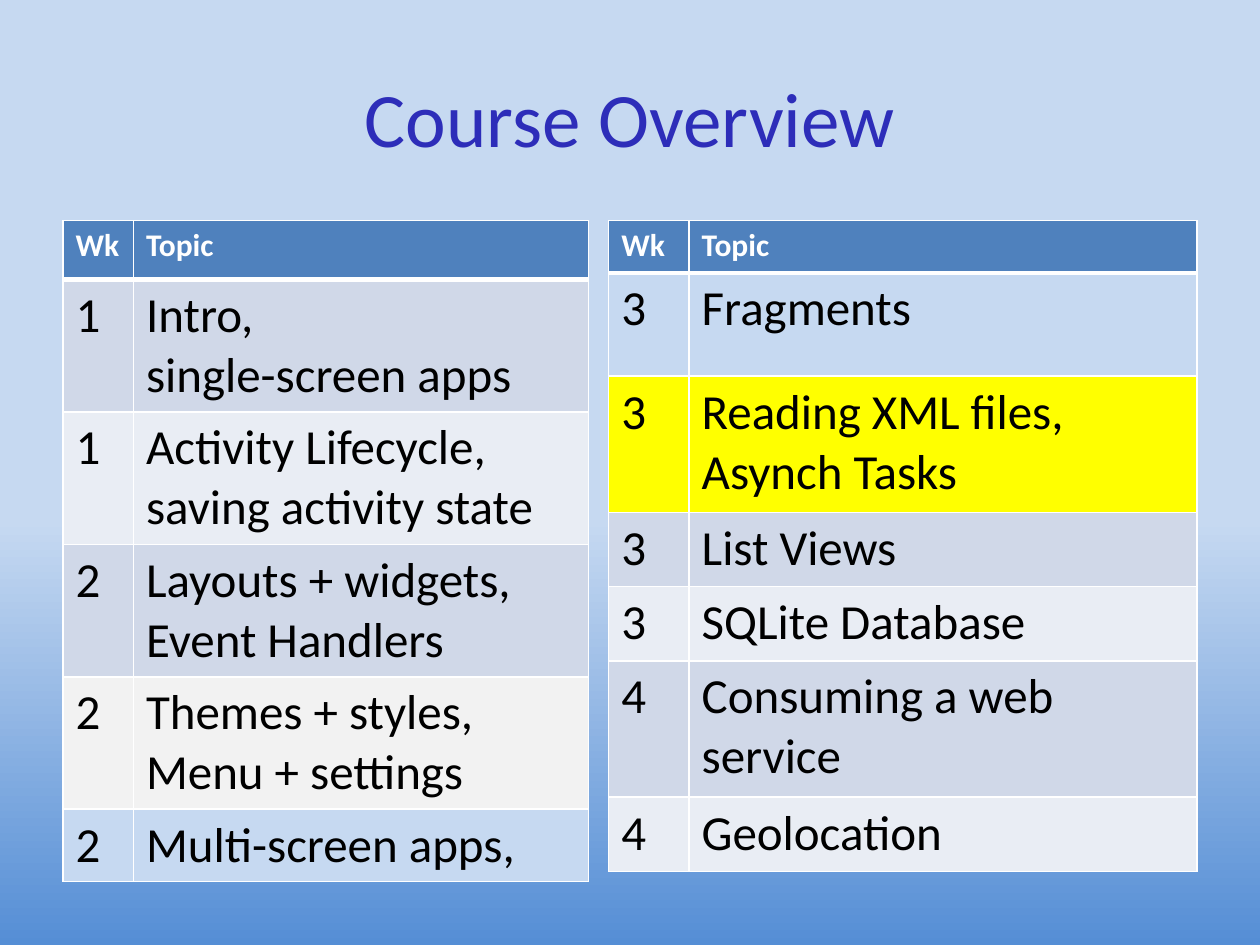
from pptx import Presentation
from pptx.dml.color import RGBColor
from pptx.enum.text import MSO_ANCHOR, PP_ALIGN
from pptx.oxml import parse_xml
from pptx.oxml.ns import nsdecls
from pptx.util import Pt

TITLE = RGBColor(0x2D, 0x2D, 0xB9)
WHITE = RGBColor(0xFF, 0xFF, 0xFF)
BLACK = RGBColor(0x00, 0x00, 0x00)
HEADER = RGBColor(0x4F, 0x81, 0xBD)
BAND = RGBColor(0xD0, 0xD8, 0xE8)
PALE = RGBColor(0xE9, 0xED, 0xF4)
GREY = RGBColor(0xF2, 0xF2, 0xF2)
SKY = RGBColor(0xC6, 0xD9, 0xF1)
BLUE = RGBColor(0x55, 0x8E, 0xD5)
YELLOW = RGBColor(0xFF, 0xFF, 0x00)


def set_text(tf, text, size, color, bold=False, align=PP_ALIGN.LEFT):
    tf.text = text
    for p in tf.paragraphs:
        p.alignment = align
        for r in p.runs:
            r.font.name = "Calibri"
            r.font.size = Pt(size)
            r.font.bold = bold
            r.font.color.rgb = color


def add_borders(cell, top, bottom):
    for side, width in (("L", 1), ("R", 1), ("T", top), ("B", bottom)):
        cell._tc.get_or_add_tcPr().append(parse_xml(
            f'<a:ln{side} {nsdecls("a")} w="{Pt(width)}"><a:solidFill>'
            f'<a:srgbClr val="{WHITE}"/></a:solidFill></a:ln{side}>'))


prs = Presentation()
prs.slide_width, prs.slide_height = Pt(720), Pt(540)
s = prs.slides.add_slide(prs.slide_layouts[5])

# Background gradient, top to bottom
fill = s.background.fill
fill.gradient()
fill.gradient_angle = 270
for stop, position, color in zip(fill.gradient_stops, (0.55, 1), (SKY, BLUE)):
    stop.position = position
    stop.color.rgb = color

# Title
title = s.shapes.title
title.left, title.top, title.width, title.height = Pt(36), Pt(21.6), Pt(648), Pt(90)
title.text_frame.vertical_anchor = MSO_ANCHOR.MIDDLE
set_text(title.text_frame, "Course Overview", 44, TITLE, align=PP_ALIGN.CENTER)

# Schedule rows: week, topic, fill (None shows the background)
first_weeks = [
    ("1", "Intro, \vsingle-screen apps", BAND),
    ("1", "Activity Lifecycle, saving activity state", PALE),
    ("2", "Layouts + widgets,\nEvent Handlers", BAND),
    ("2", "Themes + styles,\nMenu + settings", GREY),
    ("2", "Multi-screen apps,", SKY),
]
last_weeks = [
    ("3", "Fragments", None),
    ("3", "Reading XML files,\nAsynch Tasks", YELLOW),
    ("3", "List Views", BAND),
    ("3", "SQLite Database", PALE),
    ("4", "Consuming a web service", BAND),
    ("4", "Geolocation", PALE),
]

# Tables: left edge, column widths, row heights, schedule
tables = [
    (36, (40.3, 260), [33.8] * 6, first_weeks),
    (347.8, (46, 290.2), [30, 59, 77.8, 42.5, 42.5, 77.8, 42.5], last_weeks),
]
for left, widths, heights, schedule in tables:
    rows = [("Wk", "Topic", HEADER)] + schedule
    table = s.shapes.add_table(len(rows), 2, Pt(left), Pt(126),
                               Pt(sum(widths)), Pt(sum(heights))).table
    table.horz_banding = False
    for column, width in zip(table.columns, widths):
        column.width = Pt(width)
    for i, (week, topic, color) in enumerate(rows):
        table.rows[i].height = Pt(heights[i])
        for cell, text in zip(table.rows[i].cells, (week, topic)):
            add_borders(cell, top=3 if i == 1 else 1, bottom=3 if i == 0 else 1)
            if color is None:
                cell.fill.background()
            else:
                cell.fill.solid()
                cell.fill.fore_color.rgb = color
            if i == 0:
                set_text(cell.text_frame, text, 18, WHITE, bold=True)
            else:
                set_text(cell.text_frame, text, 28, BLACK)

prs.save("out.pptx")
